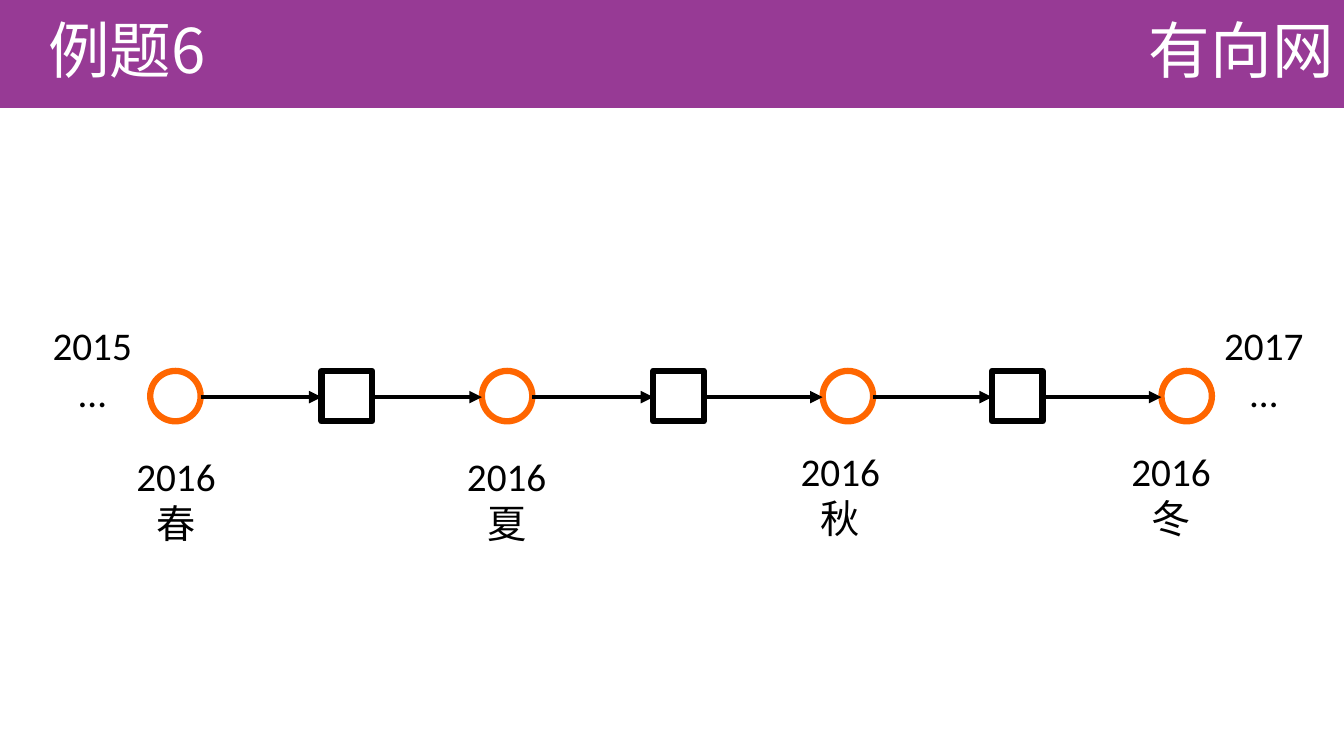
from pptx import Presentation, util as u
from pptx.dml.color import RGBColor
from pptx.enum import shapes, text
from pptx.oxml.ns import qn
from lxml import etree

WIDE, HIGH = 13.33, 7.5
BAND = 1.07


def tint(code):
    return RGBColor.from_string(code)


class Board:
    """Draws on one slide; lengths are columns and rows of a one-inch grid."""
    latin, han = "Calibri", "Noto Sans CJK SC"
    purple, orange, black, white = "973A95", "FF6600", "000000", "FFFFFF"

    def __init__(self):
        self.deck = Presentation()
        self.deck.slide_width = u.Inches(WIDE)
        self.deck.slide_height = u.Inches(HIGH)
        self.slide = self.deck.slides.add_slide(self.deck.slide_layouts[5])
        self.items = self.slide.shapes

    def grid(self, *cells):
        return [u.Inches(cell) for cell in cells]

    def style(self, frame, lines, size, face, color, align, space=None):
        """Sets the lines of a frame and formats their runs."""
        frame.text = "\n".join(lines)
        for para in frame.paragraphs:
            para.alignment = align
            para.line_spacing = space
            for run in para.runs:
                run.font.size = u.Pt(size)
                run.font.name = face
                run.font.color.rgb = tint(color)
                east = etree.SubElement(run.font._element, qn("a:ea"))
                east.set("typeface", self.han)

    def shape(self, kind, box, fill, line=None):
        item = self.items.add_shape(kind, *self.grid(*box))
        item.shadow.inherit = False
        item.fill.solid()
        item.fill.fore_color.rgb = tint(fill)
        if line:
            item.line.color.rgb = tint(line)
            item.line.width = u.Pt(4.5)
        else:
            item.line.fill.background()
        return item

    def band(self):
        """Puts the coloured strip behind the title."""
        item = self.shape(shapes.MSO_SHAPE.RECTANGLE, (0, -0.01, WIDE, 1.08), self.purple)
        self.items._spTree.insert(2, item._element)

    def head(self, item, words, align):
        frame = item.text_frame
        frame.word_wrap = True
        frame.auto_size = text.MSO_AUTO_SIZE.NONE
        frame.vertical_anchor = text.MSO_ANCHOR.MIDDLE
        self.style(frame, [words], 44, self.han, self.white, align, 0.9)

    def title(self, words, box):
        item = self.items.title
        item.left, item.top, item.width, item.height = self.grid(*box)
        self.head(item, words, text.PP_ALIGN.RIGHT)

    def topic(self, words, box, inset):
        item = self.items.add_textbox(*self.grid(*box))
        item.text_frame.margin_left = u.Inches(inset)
        self.head(item, words, text.PP_ALIGN.LEFT)

    def label(self, lines, left, top):
        item = self.items.add_textbox(*self.grid(left, top, 1.15, 1.04))
        frame = item.text_frame
        frame.word_wrap = True
        frame.auto_size = text.MSO_AUTO_SIZE.SHAPE_TO_FIT_TEXT
        self.style(frame, lines, 28, self.latin, self.black, text.PP_ALIGN.CENTER)

    def arrow(self, start, end, row):
        item = self.items.add_connector(
            shapes.MSO_CONNECTOR.STRAIGHT, *self.grid(start, row, end, row))
        item.line.color.rgb = tint(self.black)
        item.line.width = u.Pt(3)
        etree.SubElement(item.line._get_or_add_ln(), qn("a:tailEnd"), type="triangle")
        etree.SubElement(item._element.spPr, qn("a:effectLst"))


def main():
    board = Board()
    board.band()
    board.title("有向网", (10, 0, 3.33, BAND))
    board.topic("例题6", (0, 0, 7.45, BAND), 0.48)

    size, row = 0.5, 3.68
    nodes = [1.49, 3.19, 4.78, 6.48, 8.16, 9.84, 11.52]
    for spot, left in enumerate(nodes):
        box = (left, row, size, size)
        if spot % 2:
            board.shape(shapes.MSO_SHAPE.RECTANGLE, box, board.white, board.black)
        else:
            board.shape(shapes.MSO_SHAPE.OVAL, box, board.white, board.orange)
    for left, right in zip(nodes, nodes[1:]):
        board.arrow(left + size, right, 3.94)

    for year, left in (("2015", 0.34), ("2017", 11.96)):
        board.label([year, "…"], left, 3.14)
    seasons = [("春", 1.17, 4.44), ("夏", 4.45, 4.44),
               ("秋", 7.76, 4.39), ("冬", 11.04, 4.39)]
    for season, left, top in seasons:
        board.label(["2016", season], left, top)

    board.deck.save("out.pptx")


if __name__ == "__main__":
    main()
